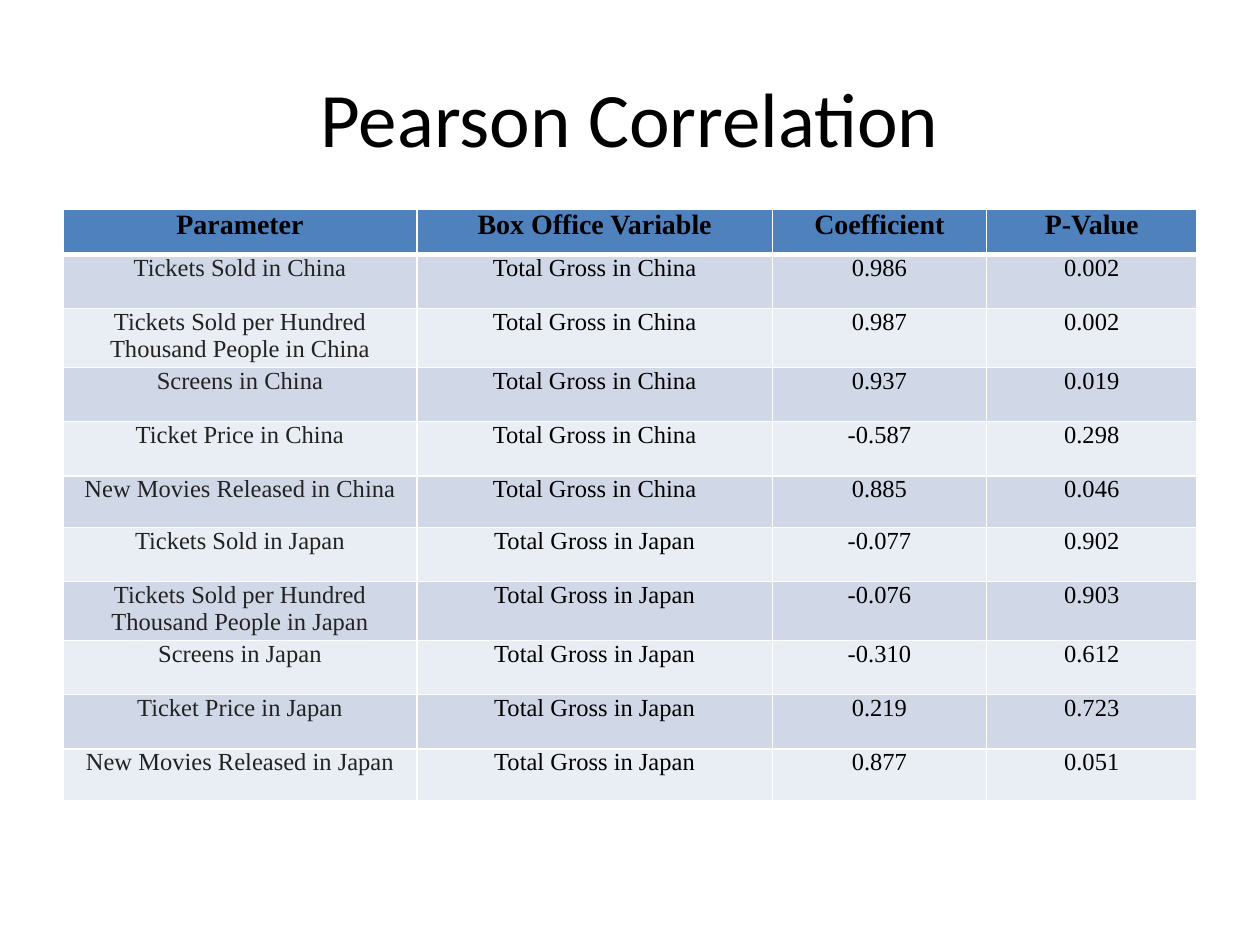
from lxml.etree import SubElement
from pptx import Presentation
from pptx.dml.color import RGBColor as RGB
from pptx.enum.text import MSO_ANCHOR as Anchor, PP_ALIGN as Align
from pptx.oxml.ns import qn
from pptx.util import Inches, Pt

BLACK = RGB(0x00, 0x00, 0x00)
GREY = RGB(0x22, 0x22, 0x22)
BLUE = RGB(0x4F, 0x81, 0xBD)
BANDS = [RGB(0xE9, 0xED, 0xF4), RGB(0xD0, 0xD8, 0xE8)]
WHITE = RGB(0xFF, 0xFF, 0xFF)

HEADS = ["Parameter", "Box Office Variable", "Coefficient", "P-Value"]
TOPICS = ["Tickets Sold", "Tickets Sold per Hundred Thousand People",
          "Screens", "Ticket Price", "New Movies Released"]
STATS = {
    "China": [("0.986", "0.002"), ("0.987", "0.002"), ("0.937", "0.019"),
              ("-0.587", "0.298"), ("0.885", "0.046")],
    "Japan": [("-0.077", "0.902"), ("-0.076", "0.903"), ("-0.310", "0.612"),
              ("0.219", "0.723"), ("0.877", "0.051")],
}
COLS = [2.81, 2.82, 1.7, 1.67]
HEAD_H = 0.36
ROWS = [0.43, 0.43, 0.43, 0.43, 0.41]  # heights for one country


def style(par, font, size, color, bold=False):
    par.alignment = Align.CENTER
    for run in par.runs:
        run.font.name = font
        run.font.size = Pt(size)
        run.font.color.rgb = color
        run.font.bold = bold


def edge(cell, side, width):
    """Draw one white border; side is L, R, T or B."""
    line = SubElement(cell._tc.get_or_add_tcPr(), qn("a:ln" + side), w=str(Pt(width)))
    fill = SubElement(line, qn("a:solidFill"))
    SubElement(fill, qn("a:srgbClr"), val=str(WHITE))


deck = Presentation()
deck.slide_width, deck.slide_height = Inches(10), Inches(7.5)
slide = deck.slides.add_slide(deck.slide_layouts[6])

title = slide.shapes.add_textbox(Inches(0.5), Inches(0.3), Inches(9), Inches(1.25))
frame = title.text_frame
frame.word_wrap = True
frame.vertical_anchor = Anchor.MIDDLE
frame.text = "Pearson Correlation"
style(frame.paragraphs[0], "Calibri", 44, BLACK)

data = [HEADS]
for land, pairs in STATS.items():
    for topic, pair in zip(TOPICS, pairs):
        data.append([f"{topic} in {land}", f"Total Gross in {land}", *pair])
highs = [HEAD_H] + ROWS * len(STATS)

table = slide.shapes.add_table(len(data), len(COLS), Inches(0.5), Inches(1.66),
                               Inches(sum(COLS)), Inches(sum(highs))).table
table.horz_banding = False
for col, wide in zip(table.columns, COLS):
    col.width = Inches(wide)

for r, (row, texts) in enumerate(zip(table.rows, data)):
    row.height = Inches(highs[r])
    head = r == 0
    for c, (cell, text) in enumerate(zip(row.cells, texts)):
        cell.margin_left = cell.margin_right = Inches(0.07)
        cell.margin_top = cell.margin_bottom = 0
        for side in "LRTB":
            thick = (head and side == "B") or (r == 1 and side == "T")
            edge(cell, side, 3 if thick else 1)
        cell.fill.solid()
        cell.fill.fore_color.rgb = BLUE if head else BANDS[r % 2]
        cell.text_frame.text = text
        color = GREY if c == 0 and not head else BLACK
        style(cell.text_frame.paragraphs[0], "Times New Roman",
              16 if head else 14, color, head)

deck.save("out.pptx")
